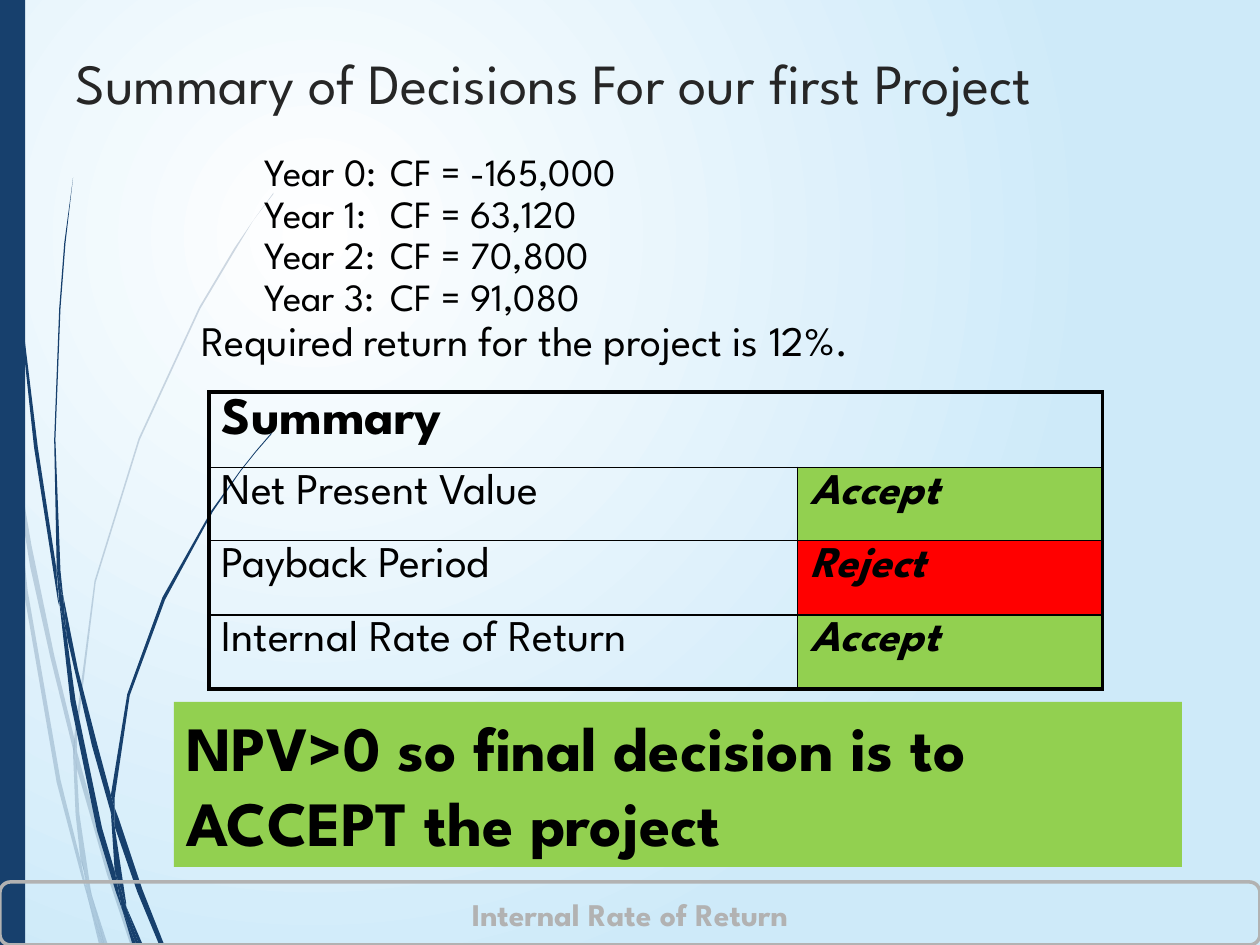
from lxml import etree
from pptx import Presentation
from pptx.dml.color import RGBColor
from pptx.enum.shapes import MSO_SHAPE
from pptx.enum.text import MSO_ANCHOR, PP_ALIGN
from pptx.oxml.ns import qn
from pptx.util import Emu, Pt

PX = 9144  # one px is a hundredth of an inch
FONT = "League Spartan"
NAVY, BLACK, GRAY, GREEN, RED = "17406D", "000000", "B2B2B2", "92D050", "FF0000"

# Grass outlines: corner points in px
PALE_BLADES = [
    [(8, 350), (6, 322), (0, 282), (0, 299), (7, 344)],
    [(40, 522), (59, 599), (59, 586), (43, 520), (25, 433), (10, 345), (12, 376), (24, 450)],
    [(64, 607), (61, 596), (61, 610), (85, 694), (104, 751), (108, 751), (88, 692)],
    [(83, 751), (86, 751), (73, 711)],
    [(64, 683), (48, 619), (22, 469), (12, 376), (8, 350), (19, 470), (45, 621),
     (64, 693), (70, 714), (69, 707)],
    [(58, 599), (60, 646), (64, 683), (67, 692), (73, 711), (72, 706), (63, 646),
     (61, 610), (61, 608)],
    [(61, 584), (76, 462), (111, 349), (159, 245), (187, 198), (201, 175), (217, 154),
     (217, 153), (201, 175), (186, 197), (158, 244), (110, 348), (75, 461), (59, 584),
     (59, 586), (61, 596)],
    [(70, 714), (79, 751), (82, 751)],
    [(61, 608), (61, 610), (61, 596), (59, 586), (58, 599)],
    [(67, 692), (65, 683), (69, 707), (70, 714), (82, 751), (83, 751), (73, 711)],
]
DARK_BLADES = [
    [(5, 110), (14, 233), (27, 355), (46, 477), (47, 481), (45, 457), (45, 453), (30, 355),
     (15, 232), (6, 109), (4, 48), (3, 0), (2, 0), (3, 48)],
    [(73, 592), (88, 645), (88, 633), (88, 631), (77, 590), (62, 532), (50, 472), (53, 505)],
    [(94, 649), (91, 641), (91, 656), (109, 708), (126, 749), (130, 749), (113, 706)],
    [(91, 691), (81, 657), (60, 556), (53, 505), (47, 477), (56, 557), (77, 659), (92, 708),
     (97, 722), (96, 717)],
    [(50, 472), (48, 453), (44, 349), (48, 245), (52, 193), (58, 141), (51, 193), (47, 245),
     (43, 349), (45, 449), (49, 472)],
    [(110, 749), (113, 749), (100, 719)],
    [(47, 477), (53, 505), (50, 472), (49, 472), (45, 449), (45, 453)],
    [(91, 633), (103, 552), (131, 476), (169, 406), (191, 374), (203, 359), (216, 344),
     (215, 344), (203, 358), (191, 373), (168, 405), (129, 474), (101, 551), (88, 631),
     (91, 641)],
    [(97, 722), (105, 749), (108, 749)],
    [(88, 645), (91, 691), (96, 706), (100, 719), (100, 716), (91, 656), (90, 651)],
    [(88, 645), (90, 651), (91, 656), (91, 641), (88, 631), (88, 633)],
    [(96, 706), (91, 691), (96, 717), (97, 722), (108, 749), (110, 749), (100, 719)],
]


def rgb(color):
    return RGBColor.from_string(color)


class SlideBuilder:
    def __init__(self, deck):
        self.slide = deck.slides.add_slide(deck.slide_layouts[6])
        self.shapes = self.slide.shapes

    def area(self, *lengths):
        return [Emu(length * PX) for length in lengths]

    def background(self, inner, outer):
        fill = self.slide.background.fill
        fill.gradient()
        for stop, color in zip(fill.gradient_stops, (inner, outer)):
            stop.color.rgb = rgb(color)
        gradient = self.slide.element.find(".//" + qn("a:gradFill"))
        linear = gradient.find(qn("a:lin"))
        circle = etree.Element(qn("a:path"), path="circle")
        etree.SubElement(circle, qn("a:fillToRect"),
                         l="50000", t="50000", r="100000", b="100000")
        gradient.replace(linear, circle)

    def paint(self, shape, fill=None, line=None, width=1):
        shape.shadow.inherit = False
        if fill:
            shape.fill.solid()
            shape.fill.fore_color.rgb = rgb(fill)
        else:
            shape.fill.background()
        if line:
            shape.line.color.rgb = rgb(line)
            shape.line.width = Pt(width)
        else:
            shape.line.fill.background()

    def blade(self, points, opacity=100):
        builder = self.shapes.build_freeform(*points[0], scale=PX)
        builder.add_line_segments(points[1:])
        shape = builder.convert_to_shape()
        self.paint(shape, NAVY)
        if opacity < 100:
            color = shape.fill._xPr.find(".//" + qn("a:srgbClr"))
            etree.SubElement(color, qn("a:alpha"), val=str(opacity * 1000))

    def box(self, kind, at, **look):
        shape = self.shapes.add_shape(kind, *self.area(*at))
        self.paint(shape, **look)
        return shape

    def style(self, para, size, color=BLACK, bold=False, italic=False, align=PP_ALIGN.LEFT):
        para.alignment = align
        for span in para.runs:
            font = span.font
            font.name, font.size = FONT, Pt(size)
            font.bold, font.italic = bold, italic
            font.color.rgb = rgb(color)

    def label(self, shape, text, size, anchor=MSO_ANCHOR.TOP, wrap=True, **look):
        frame = shape.text_frame
        frame.text = text
        frame.word_wrap = wrap
        frame.vertical_anchor = anchor
        for para in frame.paragraphs:
            self.style(para, size, **look)
        return frame

    def text(self, at, text, size, **look):
        return self.label(self.shapes.add_textbox(*self.area(*at)), text, size, **look)

    def borders(self, cell, **widths):
        properties = cell._tc.get_or_add_tcPr()
        for index, (side, width) in enumerate(widths.items()):
            line = etree.Element(qn("a:ln" + side), w=str(Pt(width)))
            fill = etree.SubElement(line, qn("a:solidFill"))
            etree.SubElement(fill, qn("a:srgbClr"), val=BLACK)
            properties.insert(index, line)

    def table(self, at, columns, heights, rows, fills):
        table = self.shapes.add_table(len(rows), len(columns), *self.area(*at)).table
        table.first_row = table.horz_banding = False
        for column, width in zip(table.columns, columns):
            column.width = Emu(width * PX)
        for row, height in zip(table.rows, heights):
            row.height = Emu(height * PX)
        last_row, last_column = len(rows) - 1, len(columns) - 1
        for r, row in enumerate(rows):
            for c, text in enumerate(row):
                cell = table.cell(r, c)
                cell.text = text
                self.style(cell.text_frame.paragraphs[0], 25 if r else 30,
                           bold=r == 0 or c == 1, italic=c == 1)
                if text in fills:
                    cell.fill.solid()
                    cell.fill.fore_color.rgb = rgb(fills[text])
                else:
                    cell.fill.background()
                self.borders(cell, L=1 if c else 2.25,
                             R=2.25 if c == last_column or r == 0 else 1,
                             T=1 if r else 2.25, B=2.25 if r == last_row else 1)
        table.cell(0, 0).merge(table.cell(0, last_column))


def main():
    deck = Presentation()
    deck.slide_width, deck.slide_height = Emu(1000 * PX), Emu(750 * PX)
    page = SlideBuilder(deck)

    # Backdrop
    page.background("FFFFFF", "CEEAF9")
    for points in PALE_BLADES:
        page.blade(points, opacity=20)
    for points in DARK_BLADES:
        page.blade(points)
    page.box(MSO_SHAPE.RECTANGLE, (0, 0, 20, 750), fill=NAVY)

    # Title
    page.text((50, 33, 900, 125), "Summary of Decisions For our first Project", 32.4,
              color="262626")

    # Decision table
    page.table((166, 311, 709, 235), (467, 242), (59, 58, 59, 59),
               [("Summary", ""), ("Net Present Value", "Accept"),
                ("Payback Period", "Reject"), ("Internal Rate of Return", "Accept")],
               {"Accept": GREEN, "Reject": RED})

    # Footer
    footer = page.box(MSO_SHAPE.ROUNDED_RECTANGLE, (0, 700, 1000, 50), line=GRAY, width=2)
    page.label(footer, "Internal Rate of Return", 18, anchor=MSO_ANCHOR.MIDDLE, wrap=False,
               color=GRAY, bold=True, align=PP_ALIGN.CENTER)

    # Cash flows and required return
    flows = ("-165,000", "63,120", "70,800", "91,080")
    lines = [f"Year {year}:\tCF = {flow}" for year, flow in enumerate(flows)]
    lines.append("Required return for the project is 12%.")
    frame = page.text((150, 117, 775, 180), "\n".join(lines), 22)
    for para in frame.paragraphs:
        para.line_spacing = 0.9
    *years, required = frame.paragraphs
    for para in years:
        para.level = 1
        properties = para._p.get_or_add_pPr()
        properties.set("marL", str(50 * PX))
        properties.set("indent", "0")
    page.style(required, 24)

    # Final decision
    verdict = page.box(MSO_SHAPE.RECTANGLE, (138, 557, 800, 131), fill=GREEN)
    page.label(verdict, "NPV>0 so final decision is to ACCEPT the project", 36, bold=True)

    deck.save("out.pptx")


if __name__ == "__main__":
    main()
